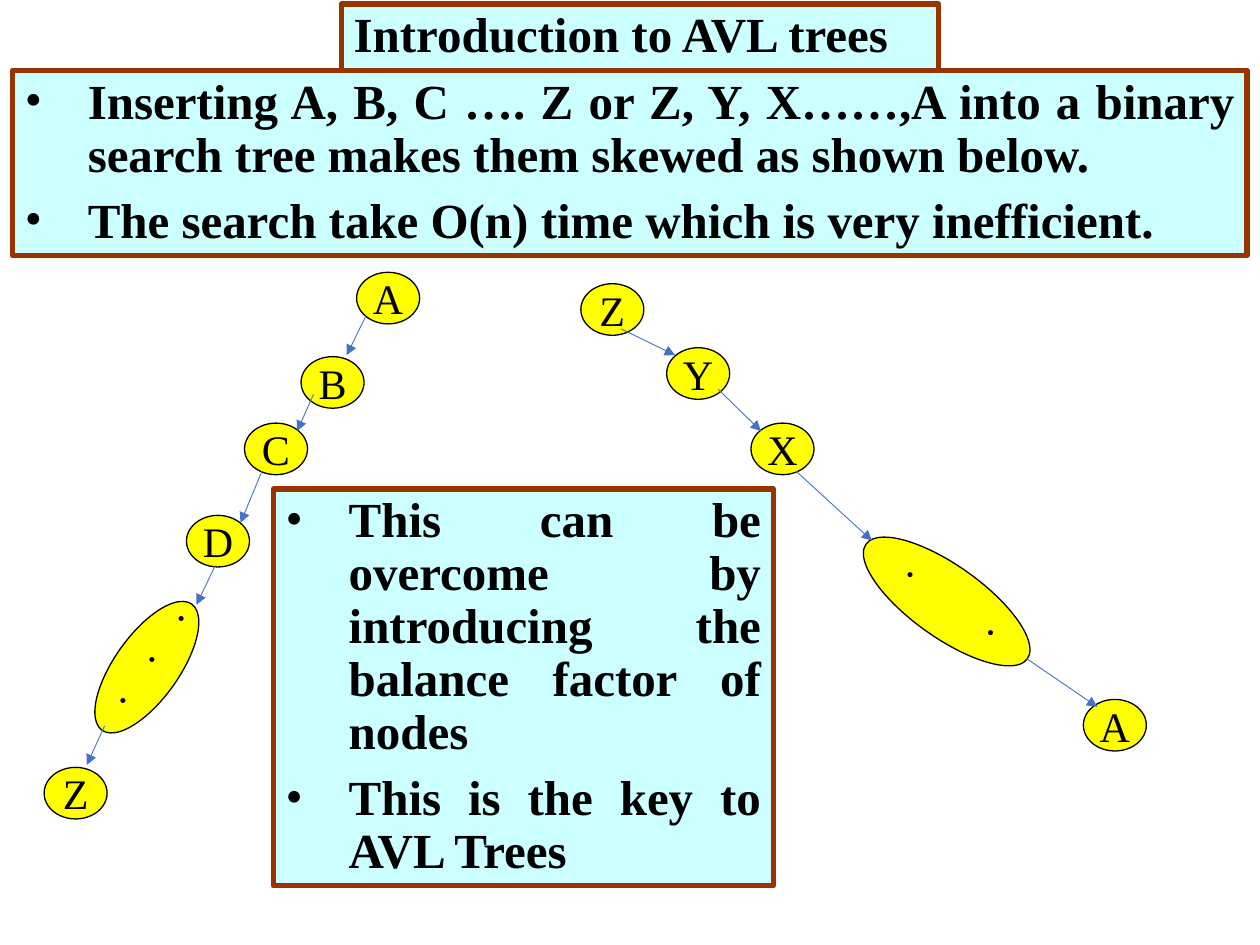
import dataclasses
import typing

import pptx
import pptx.dml.color
import pptx.enum.shapes
import pptx.enum.text
import pptx.oxml
import pptx.oxml.ns
import pptx.util

Cm = pptx.util.Cm
Pt = pptx.util.Pt
Align = pptx.enum.text.PP_ALIGN
Anchor = pptx.enum.text.MSO_ANCHOR
AutoSize = pptx.enum.text.MSO_AUTO_SIZE
Shape = pptx.enum.shapes.MSO_SHAPE

FONT = "Times New Roman"
COLORS = {
    "panel": "CCFFFF",
    "frame": "993300",
    "node": "FFFF00",
    "ink": "000000",
    "arrow": "4472C4",
}
NODE_WIDTH, NODE_HEIGHT = 1.27, 1.04


@dataclasses.dataclass
class Node:
    label: str
    left: float
    top: float


@dataclasses.dataclass
class Gap:
    left: float
    top: float
    width: float
    height: float
    tilt: float
    dots: int
    space: float
    inset_bottom: float


@dataclasses.dataclass
class Panel:
    left: float
    top: float
    width: float
    height: float
    lines: list[str]


class Arrow(typing.NamedTuple):
    start_x: float
    start_y: float
    end_x: float
    end_y: float


TITLE = Panel(6.88, 0.08, 12.04, 1.32, ["Introduction to AVL trees"])
PROBLEM = Panel(0.25, 1.42, 24.89, 3.73, [
    "Inserting A, B, C …. Z or Z, Y, X……,A into a binary search tree makes them skewed as shown below.",
    "The search take O(n) time which is very inefficient.",
])
SOLUTION = Panel(5.51, 9.86, 10.08, 8, [
    "This can be overcome by introducing the balance factor of nodes",
    "This is the key to AVL Trees",
])
NODES = [
    Node("A", 7.19, 5.49), Node("B", 6.07, 7.19), Node("C", 4.93, 8.53),
    Node("D", 3.76, 10.39), Node("Z", 0.89, 15.47),
    Node("Z", 11.71, 5.72), Node("Y", 13.44, 7.01), Node("X", 15.14, 8.53),
    Node("A", 21.84, 14.1),
]
GAPS = [
    Gap(2.31, 11.89, 1.3, 3.12, tilt=35.4, dots=3, space=0, inset_bottom=0.97),
    Gap(18.36, 10.13, 1.45, 3.99, tilt=-54.6, dots=2, space=27.6, inset_bottom=0.42),
]
ARROWS = [
    Arrow(7.37, 6.38, 6.99, 7.16), Arrow(6.32, 7.95, 5.99, 8.69),
    Arrow(5.28, 9.5, 4.85, 10.54), Arrow(4.34, 11.4, 3.96, 12.19),
    Arrow(2.11, 14.63, 1.75, 15.42),
    Arrow(12.52, 6.63, 13.61, 7.16), Arrow(14.48, 7.85, 15.34, 8.69),
    Arrow(16.05, 9.5, 17.58, 10.9), Arrow(20.7, 13.28, 22.12, 14.25),
]


def color(name: str) -> pptx.dml.color.RGBColor:
    return pptx.dml.color.RGBColor.from_string(COLORS[name])


def add_bullet(paragraph) -> None:
    properties = paragraph._p.get_or_add_pPr()
    properties.set("marL", str(Cm(1.27)))
    properties.set("indent", str(-Cm(1.27)))
    namespace = pptx.oxml.ns.nsdecls("a")
    for xml in (
        f'<a:buClr {namespace}><a:srgbClr val="{COLORS["ink"]}"/></a:buClr>',
        f'<a:buFont {namespace} typeface="{FONT}"/>',
        f'<a:buChar {namespace} char="•"/>',
    ):
        properties.append(pptx.oxml.parse_xml(xml))


def write_text(shape, lines: list[str], *, size: float = 24, bold: bool = False,
               align=Align.CENTER, anchor=Anchor.MIDDLE, wrap: bool = False,
               auto_size=AutoSize.NONE, bullet: bool = False,
               line_spacing: float = 1, space_before: float = 0,
               inset_top: float = 0.13, inset_bottom: float = 0.13) -> None:
    frame = shape.text_frame
    frame.word_wrap = wrap
    frame.auto_size = auto_size
    frame.vertical_anchor = anchor
    frame.margin_left = frame.margin_right = Cm(0.25)
    frame.margin_top, frame.margin_bottom = Cm(inset_top), Cm(inset_bottom)
    for index, line in enumerate(lines):
        paragraph = frame.add_paragraph() if index else frame.paragraphs[0]
        if bullet:
            add_bullet(paragraph)
        paragraph.alignment = align
        paragraph.line_spacing = line_spacing
        paragraph.space_before = Pt(space_before if index else 0)
        run = paragraph.add_run()
        run.text = line
        run.font.name = FONT
        run.font.size = Pt(size)
        run.font.bold = bold
        run.font.color.rgb = color("ink")


def paint(shape, fill: str, line: str, width: float) -> None:
    shape.fill.solid()
    shape.fill.fore_color.rgb = color(fill)
    shape.line.color.rgb = color(line)
    shape.line.width = Pt(width)


def fill_panel(shape, panel: Panel, align, bullet: bool) -> None:
    paint(shape, "panel", "frame", 3)
    write_text(shape, panel.lines, size=28, bold=True, align=align,
               anchor=Anchor.TOP, wrap=True, auto_size=AutoSize.SHAPE_TO_FIT_TEXT,
               bullet=bullet, line_spacing=0.9, space_before=7.5)


def add_shape(slide, kind, left: float, top: float, width: float, height: float):
    shape = slide.shapes.add_shape(kind, Cm(left), Cm(top), Cm(width), Cm(height))
    shape.shadow.inherit = False
    return shape


def set_title(slide, panel: Panel) -> None:
    title = slide.shapes.title
    title.left, title.top = Cm(panel.left), Cm(panel.top)
    title.width, title.height = Cm(panel.width), Cm(panel.height)
    fill_panel(title, panel, Align.LEFT, bullet=False)


def add_panel(slide, panel: Panel) -> None:
    shape = add_shape(slide, Shape.RECTANGLE, panel.left, panel.top, panel.width, panel.height)
    fill_panel(shape, panel, Align.JUSTIFY, bullet=True)


def add_node(slide, node: Node) -> None:
    shape = add_shape(slide, Shape.OVAL, node.left, node.top, NODE_WIDTH, NODE_HEIGHT)
    paint(shape, "node", "ink", 0.75)
    write_text(shape, [node.label])


def add_gap(slide, gap: Gap) -> None:
    shape = add_shape(slide, Shape.OVAL, gap.left, gap.top, gap.width, gap.height)
    shape.rotation = gap.tilt
    paint(shape, "node", "ink", 0.75)
    write_text(shape, ["."] * gap.dots, space_before=gap.space,
               inset_top=0, inset_bottom=gap.inset_bottom)


def add_arrow(slide, arrow: Arrow) -> None:
    connector = slide.shapes.add_connector(
        pptx.enum.shapes.MSO_CONNECTOR.STRAIGHT, *(Cm(value) for value in arrow))
    connector.line.color.rgb = color("arrow")
    connector.line.width = Pt(0.5)
    namespace = pptx.oxml.ns.nsdecls("a")
    connector.line._get_or_add_ln().append(
        pptx.oxml.parse_xml(f'<a:tailEnd {namespace} type="triangle"/>'))
    connector._element.spPr.append(pptx.oxml.parse_xml(f"<a:effectLst {namespace}/>"))


def main() -> None:
    presentation = pptx.Presentation()
    presentation.slide_width, presentation.slide_height = Cm(25.4), Cm(19.05)
    slide = presentation.slides.add_slide(presentation.slide_layouts[5])
    set_title(slide, TITLE)
    add_panel(slide, PROBLEM)
    for node in NODES:
        add_node(slide, node)
    for gap in GAPS:
        add_gap(slide, gap)
    for arrow in ARROWS:
        add_arrow(slide, arrow)
    add_panel(slide, SOLUTION)
    presentation.save("out.pptx")


if __name__ == "__main__":
    main()
